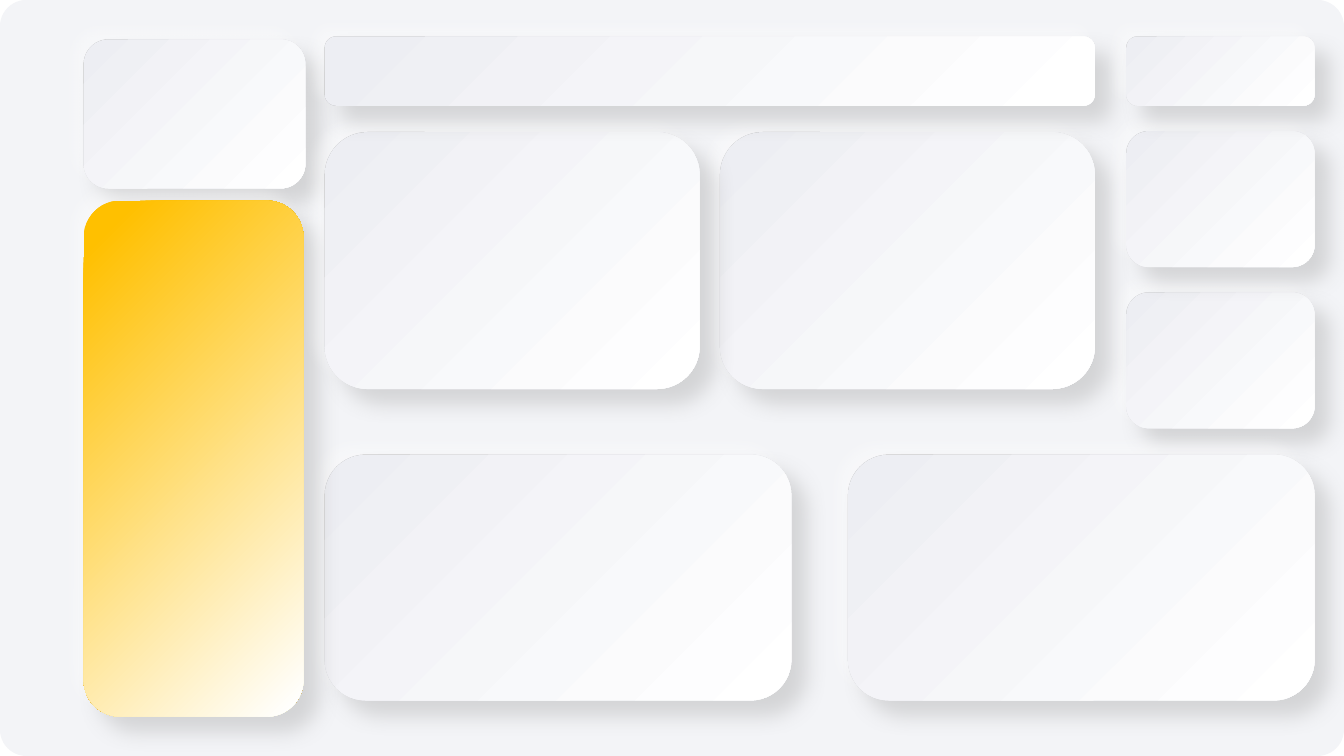
from lxml.etree import SubElement
from pptx import Presentation
from pptx.dml.color import RGBColor
from pptx.enum.shapes import MSO_SHAPE
from pptx.oxml.ns import qn
from pptx.util import Inches, Pt

# Content: panels as (column, row, surface), from back to front
PANELS = [
    ("side", "logo", "light"),
    ("wide left", "bottom", "light"),
    ("right", "lower tile", "light"),
    ("wide right", "bottom", "light"),
    ("half right", "middle", "light"),
    ("menu", "menu", "accent"),
    ("half left", "middle", "light"),
    ("right", "upper tile", "light"),
    ("main", "header", "light"),
    ("right", "header", "light"),
]

# Theme: gradients are (percent, colour) stops; shadows are
# (colour, opacity percent, blur pt, distance pt, angle)
THEME = {
    "board": "F3F4F7",
    "base": "A6A6A6",
    "light": [(1, "EDEEF3"), (100, "FFFFFF")],
    "accent": [(7, "FFC000"), (98, "FFFFFF")],
    "board glow": ("FFFFFF", 100, 4, 4, 90),
    "glow": ("FFFFFF", 40, 10, 10, 225),
    "shade": ("A6A6A6", 40, 15, 15, 45),
}
BOARD_ROUNDING = 0.035
GRADIENT_ANGLE = 315  # counter-clockwise: top left to bottom right

# Grid: columns are (left, width), rows are (top, height)
WIDTH, HEIGHT = 13.33, 7.5
SIDE, MAIN, RIGHT, EDGE = 0.83, 3.22, 11.17, 13.04
MAIN_WIDTH, GAP, WIDE = 7.64, 0.2, 4.63
half = (MAIN_WIDTH - GAP) / 2
tile, tile_top, tile_step = 1.35, 1.3, 1.6
COLUMNS = {
    "side": (SIDE, 2.2),
    "menu": (SIDE, 2.18),
    "main": (MAIN, MAIN_WIDTH),
    "half left": (MAIN, half),
    "half right": (MAIN + half + GAP, half),
    "wide left": (MAIN, WIDE),
    "wide right": (EDGE - WIDE, WIDE),
    "right": (RIGHT, EDGE - RIGHT),
}
ROWS = {
    "logo": (0.39, 1.48),
    "menu": (1.99, 5.12),
    "header": (0.36, 0.69),
    "middle": (1.31, 2.55),
    "upper tile": (tile_top, tile),
    "lower tile": (tile_top + tile_step, tile),
    "bottom": (4.51, 2.44),
}


def paint(fill, surface):
    """Fill with one colour, or with a diagonal gradient of two stops."""
    if isinstance(surface, str):
        fill.solid()
        fill.fore_color.rgb = RGBColor.from_string(surface)
        return
    fill.gradient()
    fill.gradient_angle = GRADIENT_ANGLE
    for stop, (percent, colour) in zip(fill.gradient_stops, surface):
        values = {"position": percent / 100}
        for name, value in values.items():
            setattr(stop, name, value)
        stop.color.rgb = RGBColor.from_string(colour)


def cast_shadow(shape, shadow):
    colour, opacity, blur, distance, angle = shadow
    shape.shadow.inherit = False
    effects = shape._element.spPr.find(qn("a:effectLst"))
    outer = SubElement(effects, qn("a:outerShdw"))
    values = {"blurRad": Pt(blur), "dist": Pt(distance), "dir": angle * 60000,
              "algn": "ctr", "rotWithShape": 0}
    for name, value in values.items():
        outer.set(name, str(value))
    tone = SubElement(outer, qn("a:srgbClr"), val=colour)
    SubElement(tone, qn("a:alpha"), val=str(opacity * 1000))


def add_card(shapes, box, surface, shadow):
    card = shapes.add_shape(MSO_SHAPE.ROUNDED_RECTANGLE, *map(Inches, box))
    card.line.fill.background()
    paint(card.fill, surface)
    cast_shadow(card, shadow)
    return card


deck = Presentation()
deck.slide_width, deck.slide_height = Inches(WIDTH), Inches(HEIGHT)
slide = deck.slides.add_slide(deck.slide_layouts[6])

# Board behind everything
board = add_card(slide.shapes, (0, 0, WIDTH, HEIGHT),
                 THEME["board"], THEME["board glow"])
board.adjustments[0] = BOARD_ROUNDING

# Raised panels: a glowing base under a shaded face
for column, row, surface in PANELS:
    left, width = COLUMNS[column]
    top, height = ROWS[row]
    box = (left, top, width, height)
    face = THEME[surface]
    base = face if surface == "accent" else THEME["base"]
    panel = slide.shapes.add_group_shape()
    add_card(panel.shapes, box, base, THEME["glow"])
    add_card(panel.shapes, box, face, THEME["shade"])

deck.save("out.pptx")
